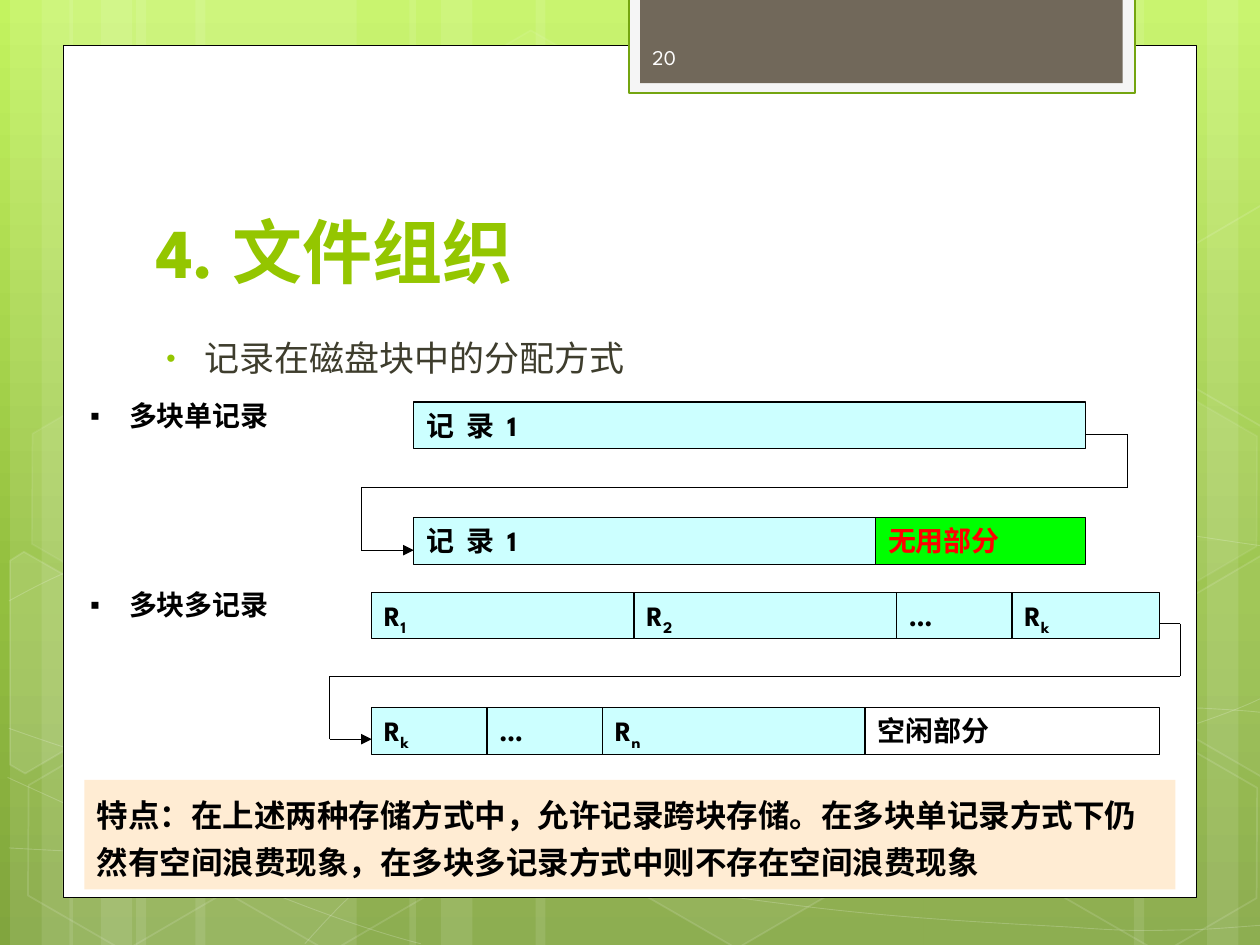
from lxml import etree
from pptx import Presentation
from pptx.dml.color import RGBColor
from pptx.enum.shapes import MSO_CONNECTOR, MSO_SHAPE
from pptx.enum.text import MSO_ANCHOR, MSO_AUTO_SIZE, PP_ALIGN
from pptx.oxml.ns import qn
from pptx.util import Inches, Pt

RECT, HEX = MSO_SHAPE.RECTANGLE, MSO_SHAPE.HEXAGON
STRAIGHT = MSO_CONNECTOR.STRAIGHT
TOP, MIDDLE, BOTTOM = MSO_ANCHOR.TOP, MSO_ANCHOR.MIDDLE, MSO_ANCHOR.BOTTOM
LEFT, FIXED = PP_ALIGN.LEFT, MSO_AUTO_SIZE.NONE
FONT = "League Spartan"
WIDE, HIGH = 10, 7.5
UNIT = 1 / 12  # grid step of the block diagrams, in inches
COLORS = {
    "white": "FFFFFF", "black": "000000", "lime": "94C600", "olive": "3E3D2D",
    "rim": "74A510", "mist": "F5F5F5", "brown": "71685A", "pale": "FEFEFE",
    "cyan": "CCFFFF", "green": "00FF00", "red": "FF0000", "peach": "FFECD3",
}
SKY = [(0, "C3F35F"), (62, "93BF3F"), (100, "81A53E")]

BARS = [(1.08, 1.75), (0.08, 0.5), (0.33, 0.83), (1.55, 1.75), (0.55, 0.5),
        (0.8, 0.83), (7.33, 1.75), (9.58, 0.5), (9, 0.83), (4.25, 3.08),
        (3.25, 0.5), (3.5, 0.83)]
# Each curve: a start point, then cubic pieces of two handles and an end.
CURVES = [
    [(0.07, 6.73), (0.61, 6.76), (1.15, 6.79), (1.9, 6.78), (2.65, 6.77),
     (3.58, 6.75), (4.58, 6.65), (5.58, 6.55), (7, 6.36), (7.92, 6.17),
     (8.83, 5.98), (9.77, 5.68), (10.07, 5.51)],
    [(0.07, 4.77), (0.36, 4.61), (0.65, 4.46), (1.21, 4.31), (1.78, 4.16),
     (2.59, 3.94), (3.47, 3.87), (4.36, 3.8), (5.44, 3.79), (6.54, 3.87),
     (7.64, 3.95), (9.47, 4.26), (10.07, 4.34)],
    [(0.06, 6.17), (1.27, 6.72), (2.47, 7.27), (3.34, 7.49)],
    [(0.07, 5.78), (0.38, 5.89), (0.7, 6), (1.28, 6.16), (1.86, 6.31),
     (2.73, 6.56), (3.57, 6.73), (4.4, 6.9), (5.45, 7.08), (6.28, 7.18),
     (7.11, 7.29), (8, 7.33), (8.53, 7.36), (9.05, 7.4), (9.19, 7.38),
     (9.45, 7.38), (9.71, 7.37), (9.89, 7.35), (10.07, 7.34)],
    [(2.42, 7.49), (2.6, 7.29), (2.78, 7.09), (3.02, 6.91), (3.26, 6.73),
     (3.6, 6.53), (3.88, 6.39), (4.16, 6.25), (4.33, 6.19), (4.7, 6.09),
     (5.06, 5.99), (5.73, 5.85), (6.08, 5.78), (6.44, 5.71), (6.49, 5.71),
     (6.8, 5.69), (7.11, 5.66), (7.6, 5.63), (7.94, 5.62), (8.29, 5.61),
     (8.86, 5.62), (8.86, 5.62), (8.86, 5.62), (9.53, 5.62), (9.53, 5.62),
     (9.71, 5.63), (9.88, 5.64), (9.97, 5.65), (10.06, 5.66),
     (10.03, 5.65), (10.06, 5.66)],
]
# Left, top, fill opacity (0 is no fill), line opacity.
CELLS = [(3.34, 0.36, 4, 8), (4.97, 5.89, 6, 12), (0.11, 5.91, 0, 12),
         (0.14, 3.12, 7, 8), (1.74, 5.92, 0, 12), (7.53, 4.53, 10, 12),
         (8.34, 5.93, 0, 12), (8.34, 3.14, 7, 8)]
# Hexagons cut by the slide edge: corners, fill opacity.
CUTS = [
    ([(0.08, 4.45), (0.19, 4.38), (0.96, 4.82), (0.95, 5.7), (0.2, 6.14),
      (0.08, 6.07)], 10),
    ([(9.26, 4.85), (10.01, 4.41), (10.09, 4.46), (10.09, 6.13),
      (10.02, 6.17), (9.26, 5.73)], 4),
    ([(9.26, 2.07), (10.01, 1.63), (10.1, 1.68), (10.09, 3.35),
      (10.02, 3.39), (9.26, 2.95)], 0),
]


def rgb(name):
    return RGBColor.from_string(COLORS[name])


def fade(holder, share):
    tint = holder.find(qn("a:solidFill")).find(qn("a:srgbClr"))
    etree.SubElement(tint, qn("a:alpha"), val=str(share * 1000))


def paint(shape, fill=None, line=None, width=0.75, alpha=100, edge=100):
    """Set fill and line, with opacities in percent."""
    shape.shadow.inherit = False
    props = shape._element.spPr
    if fill and alpha:
        shape.fill.solid()
        shape.fill.fore_color.rgb = rgb(fill)
        if alpha < 100:
            fade(props, alpha)
    else:
        shape.fill.background()
    if line:
        shape.line.color.rgb = rgb(line)
        shape.line.width = Pt(width)
        if edge < 100:
            fade(props.find(qn("a:ln")), edge)
    else:
        shape.line.fill.background()
    return shape


def block(slide, box, kind=RECT, **look):
    return paint(slide.shapes.add_shape(kind, *map(Inches, box)), **look)


def label(slide, box):
    return slide.shapes.add_textbox(*map(Inches, box))


def place(shape, box):
    shape.left, shape.top, shape.width, shape.height = map(Inches, box)
    return shape


def write(shape, text, size=16, color="black", bold=True, anchor=TOP,
          lead=1, bullet=None, tone="black", scale=100, indent=(0, 0)):
    """Fill a shape with one paragraph; what follows "_" is a subscript."""
    frame = shape.text_frame
    frame.word_wrap, frame.auto_size = True, FIXED
    frame.vertical_anchor = anchor
    para = frame.paragraphs[0]
    para.alignment, para.line_spacing, para.space_before = LEFT, lead, Pt(0)
    if bullet:
        props = para._p.get_or_add_pPr()
        props.set("marL", str(Inches(indent[0])))
        props.set("indent", str(Inches(indent[1])))
        tint = etree.SubElement(props, qn("a:buClr"))
        etree.SubElement(tint, qn("a:srgbClr"), val=COLORS[tone])
        etree.SubElement(props, qn("a:buSzPct"), val=str(scale * 1000))
        etree.SubElement(props, qn("a:buFont"), typeface="Arial")
        etree.SubElement(props, qn("a:buChar"), char=bullet)
    for rank, part in enumerate(text.split("_")):
        run = para.add_run()
        run.text = part
        run.font.name, run.font.size = FONT, Pt(size)
        run.font.bold, run.font.color.rgb = bold, rgb(color)
        if rank:
            run._r.get_or_add_rPr().set("baseline", "-25000")


def outline(slide, points, close, **look):
    spots = [(Inches(x), Inches(y)) for x, y in points]
    form = slide.shapes.build_freeform(*spots[0])
    form.add_line_segments(spots[1:], close=close)
    return paint(form.convert_to_shape(), line="white", **look)


def bend(shape, points):
    """Fold each three segments into a cubic, or a line if its handles rest on its ends."""
    steps = list(shape._element.iter(qn("a:lnTo")))
    for i in range(0, len(steps), 3):
        first, second, last = steps[i:i + 3]
        if points[i] == points[i + 1] and points[i + 2] == points[i + 3]:
            first.getparent().remove(first)
            second.getparent().remove(second)
            continue
        cubic = etree.Element(qn("a:cubicBezTo"))
        first.addprevious(cubic)
        for step in (first, second, last):
            cubic.append(step[0])
            step.getparent().remove(step)


def backdrop(slide):
    fill = slide.background.fill
    fill.gradient()
    fill.gradient_angle = 270
    stops = next(slide._element.iter(qn("a:gsLst")))
    for old in list(stops):
        stops.remove(old)
    for spot, tint in SKY:
        stop = etree.SubElement(stops, qn("a:gs"), pos=str(spot * 1000))
        etree.SubElement(stop, qn("a:srgbClr"), val=tint)
    for left, width in BARS:
        block(slide, (left, 0, width, HIGH), fill="white", alpha=10)
    for curve in CURVES:
        bend(outline(slide, curve, False, width=0.5, edge=20), curve)
    for left, top, alpha, edge in CELLS:
        cell = block(slide, (left, top, 1.75, 1.52), HEX, fill="white",
                     line="white", width=1, alpha=alpha, edge=edge)
        cell.adjustments[0] = 0.285
        cell.rotation = 30
    for points, alpha in CUTS:
        outline(slide, points, True, fill="white", width=1, alpha=alpha,
                edge=12)


def panel(slide, left, top, width, height):
    block(slide, (left, top, width, height), fill="white", line="black",
          width=0.5)
    block(slide, (4.99, -0.02, 4.02, 0.76), fill="mist", line="rim",
          width=1.25)
    block(slide, (5.08, -0.02, 3.83, 0.68), fill="brown")
    write(label(slide, (5.08, 0.25, 1.46, 0.4)), "20", size=12,
          color="pale", bold=False, anchor=MIDDLE)


def wire(slide, points):
    """Straight lines through the points, with an arrow at the last."""
    for start, end in zip(points, points[1:]):
        line = slide.shapes.add_connector(
            STRAIGHT, *map(Inches, (*start, *end)))
        line.line.color.rgb, line.line.width = rgb("black"), Pt(0.75)
        if end == points[-1]:
            etree.SubElement(line.line._get_or_add_ln(), qn("a:tailEnd"),
                             type="triangle")
        etree.SubElement(line._element.spPr, qn("a:effectLst"))


def layout(slide, box, name, start, steps, rows, out, back):
    """Two rows of disk blocks joined by a wire, all in grid units."""
    left, top = box[:2]
    write(label(slide, [n * UNIT for n in box]), name, bullet="▪",
          indent=(0.81, -0.31))
    for step, row in zip(steps, rows):
        col = start
        for text, span, fill, color in row:
            part = block(slide, ((left + col) * UNIT, (top + step) * UNIT,
                                 span * UNIT, 0.37), fill=fill, line="black")
            write(part, text, color=color)
            col += span
    trail = [(col, 4), (col + out, 4), (col + out, 9), (start - back, 9),
             (start - back, 15), (start, 15)]
    wire(slide, [((left + x) * UNIT, (top + y) * UNIT) for x, y in trail])


def used(text, span):
    return text, span, "cyan", "black"


def main():
    deck = Presentation()
    deck.slide_width, deck.slide_height = Inches(WIDE), Inches(HIGH)
    slide = deck.slides.add_slide(deck.slide_layouts[1])
    backdrop(slide)
    panel(slide, 0.5, 0.36, 9, 6.76)
    title, body = slide.placeholders
    for holder in (title, body):
        slide.shapes._spTree.append(holder._element)
    write(place(title, (1.14, 1.12, 7.68, 1.25)), "4. 文件组织", size=40,
          color="lime", anchor=BOTTOM)
    write(place(body, (1.14, 2.54, 7.41, 3.84)), "记录在磁盘块中的分配方式",
          size=20, color="olive", bold=False, lead=1.25, bullet="•",
          tone="lime", scale=76, indent=(0.38, -0.3))
    layout(slide, (1.4, 37.4, 41, 7), "多块单记录", 38, (0.9, 11.9),
           [[used("记  录  1", 64)],
            [used("记  录  1", 44), ("无用部分", 20, "green", "red")]], 4, 5)
    layout(slide, (1.4, 55.4, 36, 8), "多块多记录", 34, (1, 12),
           [[used("R_1", 25), used("R_2", 25), used("…", 11),
             used("R_k", 14)],
            [used("R_k", 11), used("…", 11), used("R_n", 25),
             ("空闲部分", 28, "white", "black")]], 2, 4)
    write(block(slide, (0.67, 6.19, 8.66, 0.87), fill="peach"),
          "特点：在上述两种存储方式中，允许记录跨块存储。在多块单记录方式下仍"
          "然有空间浪费现象，在多块多记录方式中则不存在空间浪费现象",
          size=18, lead=1.25)
    deck.save("out.pptx")


if __name__ == "__main__":
    main()
